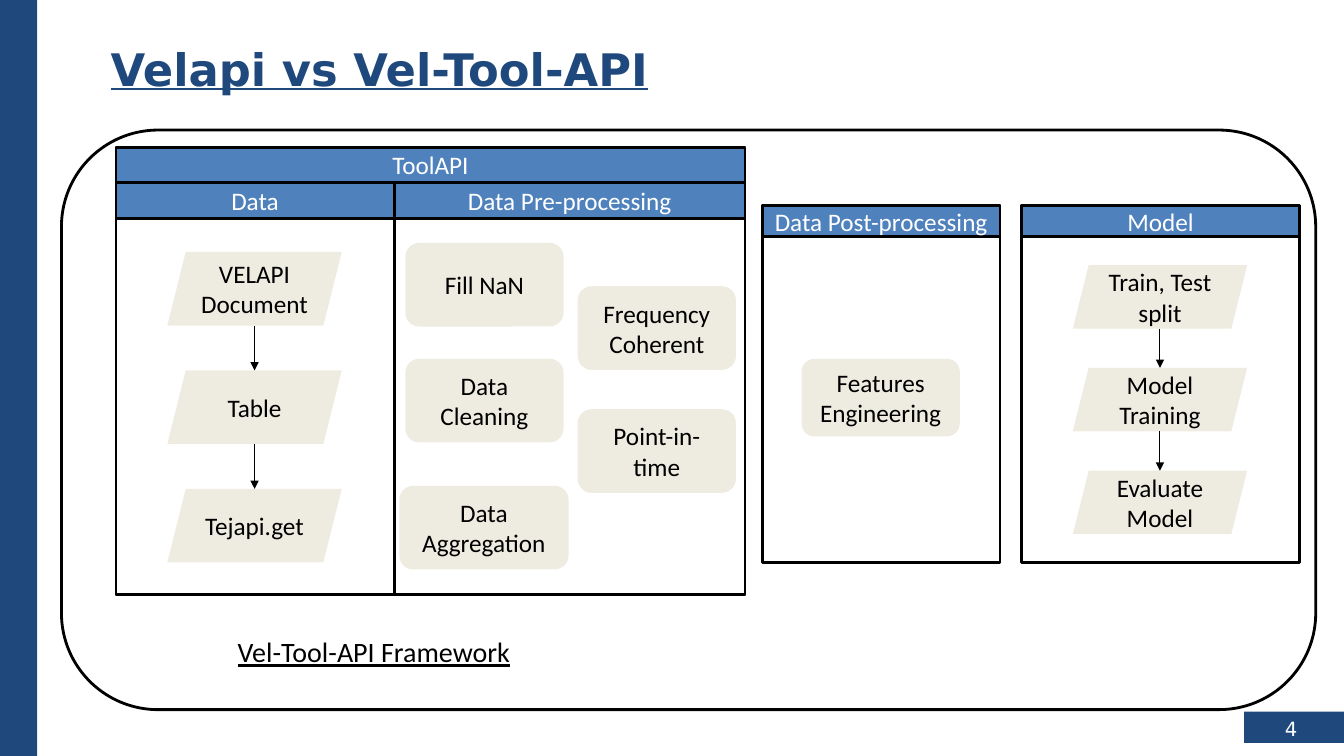
from dataclasses import dataclass
from typing import Optional

from lxml.etree import SubElement
from pptx import Presentation
from pptx.dml.color import RGBColor
from pptx.enum.shapes import MSO_CONNECTOR, MSO_SHAPE
from pptx.enum.text import MSO_ANCHOR, PP_ALIGN
from pptx.oxml import parse_xml
from pptx.oxml.ns import nsdecls, qn
from pptx.shapes.autoshape import Shape
from pptx.slide import Slide
from pptx.text.text import TextFrame
from pptx.util import Inches, Pt

COLORS = {
    "navy": "1F497D",
    "blue": "4F81BD",
    "beige": "EEECE1",
    "white": "FFFFFF",
    "black": "000000",
}
HEADER_FORMAT = {"size": Pt(18), "name": "Calibri", "color": "white"}
BODY_FORMAT = {"size": Pt(18), "name": "Calibri", "color": "black"}
NUMBER_FORMAT = {"size": Pt(14), "name": "DejaVu Sans", "color": "white"}
CAPTION_FORMAT = {"size": Pt(20), "name": "Calibri", "color": "black", "underline": True}
TITLE_FORMAT = {"size": Pt(32), "name": "DejaVu Sans", "color": "navy",
                "bold": True, "underline": True}


@dataclass
class Box:
    left: float
    top: float
    width: float
    height: float


@dataclass
class Panel:
    title: str
    box: Box
    header_height: float
    fill: Optional[str] = "white"


@dataclass
class Step:
    text: str
    box: Box


@dataclass
class Flow:
    steps: list[str]
    first: Box
    pitch: float


PANELS = [
    Panel("Data", Box(1.15, 1.81, 2.76, 4.09), 0.36),
    Panel("Data Pre-processing", Box(3.91, 1.8, 3.48, 4.1), 0.37),
    Panel("Model", Box(10.13, 2.04, 2.76, 3.54), 0.31),
    Panel("ToolAPI", Box(1.15, 1.46, 6.24, 4.44), 0.35, None),
    Panel("Data Post-processing", Box(7.56, 2.04, 2.36, 3.54), 0.31),
]
FLOWS = [
    Flow(["VELAPI Document", "Table", "Tejapi.get"], Box(1.66, 2.5, 1.73, 0.73), 1.175),
    Flow(["Train, Test split", "Model Training", "Evaluate Model"],
         Box(10.64, 2.63, 1.73, 0.63), 1.02),
]
STEPS = [
    Step("Fill NaN", Box(4.02, 2.41, 1.57, 0.83)),
    Step("Data\nCleaning", Box(4.02, 3.56, 1.57, 0.83)),
    Step("Data Aggregation", Box(3.96, 4.82, 1.68, 0.83)),
    Step("Frequency Coherent", Box(5.73, 2.84, 1.57, 0.83)),
    Step("Point-in-time", Box(5.73, 4.06, 1.57, 0.83)),
    Step("Features\vEngineering", Box(7.95, 3.56, 1.57, 0.77)),
]


def color(name: str) -> RGBColor:
    return RGBColor.from_string(COLORS[name])


def inches(box: Box) -> list[Inches]:
    return [Inches(length) for length in (box.left, box.top, box.width, box.height)]


def write(frame: TextFrame, text: str, text_format: dict,
          align: PP_ALIGN = PP_ALIGN.CENTER, anchor: MSO_ANCHOR = MSO_ANCHOR.MIDDLE) -> None:
    frame.word_wrap = True
    frame.vertical_anchor = anchor
    frame.text = text
    for paragraph in frame.paragraphs:
        paragraph.alignment = align
        for run in paragraph.runs:
            for attribute, value in text_format.items():
                if attribute == "color":
                    run.font.color.rgb = color(value)
                else:
                    setattr(run.font, attribute, value)


def add_box(slide: Slide, kind: MSO_SHAPE, box: Box, fill: Optional[str],
            outlined: bool = False) -> Shape:
    shape = slide.shapes.add_shape(kind, *inches(box))
    shape.shadow.inherit = False
    if fill:
        shape.fill.solid()
        shape.fill.fore_color.rgb = color(fill)
    else:
        shape.fill.background()
    if outlined:
        shape.line.color.rgb = color("black")
        shape.line.width = Pt(2)
    else:
        shape.line.fill.background()
    return shape


def add_text(slide: Slide, box: Box, text: str, text_format: dict,
             align: PP_ALIGN, anchor: MSO_ANCHOR) -> Shape:
    shape = slide.shapes.add_textbox(*inches(box))
    write(shape.text_frame, text, text_format, align, anchor)
    return shape


def add_text_shadow(shape: Shape) -> None:
    properties = shape.text_frame.paragraphs[0].runs[0].font.fill._xPr
    effects = parse_xml(
        f'<a:effectLst {nsdecls("a")}><a:outerShdw blurRad="38100" dist="38100" '
        'dir="2700000" algn="tl"><a:srgbClr val="000000"><a:alpha val="43137"/>'
        '</a:srgbClr></a:outerShdw></a:effectLst>')
    properties.find(qn("a:solidFill")).addnext(effects)


def add_panel(slide: Slide, panel: Panel) -> None:
    box = panel.box
    add_box(slide, MSO_SHAPE.RECTANGLE, box, panel.fill, True)
    header_box = Box(box.left, box.top, box.width, panel.header_height)
    header = add_box(slide, MSO_SHAPE.RECTANGLE, header_box, "blue", True)
    write(header.text_frame, panel.title, HEADER_FORMAT)


def add_step(slide: Slide, kind: MSO_SHAPE, step: Step) -> None:
    shape = add_box(slide, kind, step.box, "beige")
    write(shape.text_frame, step.text, BODY_FORMAT)


def add_arrow(slide: Slide, x: float, top: float, bottom: float) -> None:
    arrow = slide.shapes.add_connector(
        MSO_CONNECTOR.STRAIGHT, Inches(x), Inches(top), Inches(x), Inches(bottom))
    arrow.line.color.rgb = color("black")
    arrow.line.width = Pt(0.75)
    SubElement(arrow.line._get_or_add_ln(), qn("a:tailEnd"), type="triangle")
    SubElement(arrow._element.spPr, qn("a:effectLst"))


def add_flow(slide: Slide, flow: Flow) -> None:
    first = flow.first
    for index, text in enumerate(flow.steps):
        top = first.top + index * flow.pitch
        box = Box(first.left, top, first.width, first.height)
        add_step(slide, MSO_SHAPE.PARALLELOGRAM, Step(text, box))
        if index:
            add_arrow(slide, first.left + first.width / 2,
                      top - flow.pitch + first.height, top)


def main() -> None:
    presentation = Presentation()
    presentation.slide_width = Inches(13.33)
    presentation.slide_height = Inches(7.5)
    slide = presentation.slides.add_slide(presentation.slide_layouts[6])

    add_box(slide, MSO_SHAPE.RECTANGLE, Box(12.34, 7.06, 1, 0.31), "navy")
    add_box(slide, MSO_SHAPE.RECTANGLE, Box(0, 0, 0.37, 7.5), "navy")
    add_box(slide, MSO_SHAPE.ROUNDED_RECTANGLE, Box(0.61, 1.29, 12.44, 5.75), "white", True)
    add_text(slide, Box(12.44, 7.06, 0.73, 0.34), "4", NUMBER_FORMAT,
             PP_ALIGN.CENTER, MSO_ANCHOR.BOTTOM)
    title = add_text(slide, Box(1, 0.3, 11.67, 0.77), "Velapi vs Vel-Tool-API", TITLE_FORMAT,
                     PP_ALIGN.LEFT, MSO_ANCHOR.MIDDLE)
    add_text_shadow(title)
    for panel in PANELS:
        add_panel(slide, panel)
    for flow in FLOWS:
        add_flow(slide, flow)
    for step in STEPS:
        add_step(slide, MSO_SHAPE.ROUNDED_RECTANGLE, step)
    add_text(slide, Box(2.26, 6.25, 3.36, 0.44), "Vel-Tool-API Framework", CAPTION_FORMAT,
             PP_ALIGN.LEFT, MSO_ANCHOR.TOP)
    presentation.save("out.pptx")


if __name__ == "__main__":
    main()
